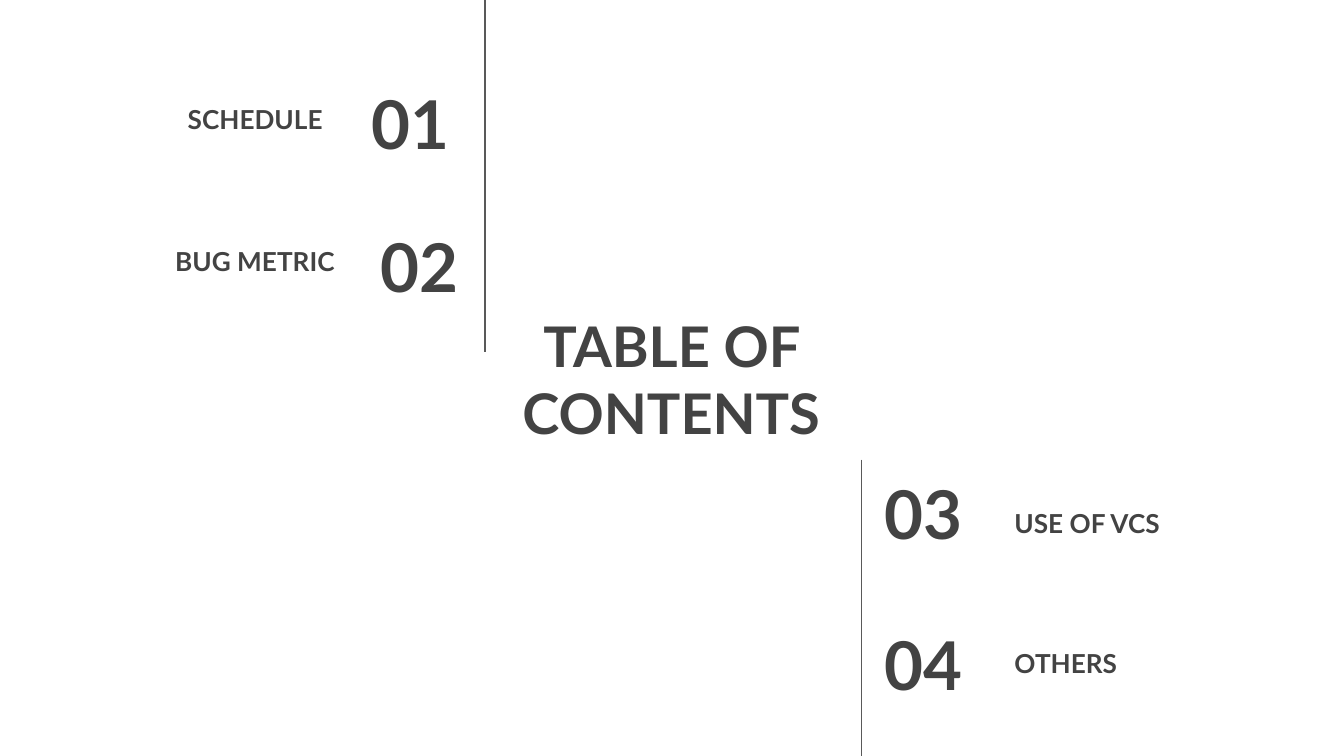
from lxml import etree
from pptx import Presentation
from pptx.dml.color import RGBColor
from pptx.enum import shapes, text
from pptx.oxml import ns
from pptx.util import Inches, Pt

INK = RGBColor(0x43, 0x43, 0x43)
RULE = RGBColor(0x59, 0x59, 0x59)
WHITE = RGBColor(0xFF, 0xFF, 0xFF)
LEFT, CENTER, RIGHT = text.PP_ALIGN.LEFT, text.PP_ALIGN.CENTER, text.PP_ALIGN.RIGHT
MIDDLE, BOTTOM = text.MSO_ANCHOR.MIDDLE, text.MSO_ANCHOR.BOTTOM

presentation = Presentation()
presentation.slide_width = Inches(10)
presentation.slide_height = Inches(10 * 9 / 16)
slide = presentation.slides.add_slide(presentation.slide_layouts[6])
slide.background.fill.solid()
slide.background.fill.fore_color.rgb = WHITE


def add_text(words, left, top, width, height, size, alignment, anchor):
    box = slide.shapes.add_textbox(Inches(left), Inches(top), Inches(width), Inches(height))
    frame = box.text_frame
    frame.word_wrap = True
    frame.vertical_anchor = anchor
    frame.margin_left = frame.margin_right = Inches(0.1)
    frame.margin_top = frame.margin_bottom = Inches(0.1)
    paragraph = frame.paragraphs[0]
    paragraph.alignment = alignment
    run = paragraph.add_run()
    run.text = words
    run.font.name = "Lato"
    run.font.size = Pt(size)
    run.font.bold = True
    run.font.color.rgb = INK


add_text("TABLE OF CONTENTS", 3.7, 2.3, 2.59, 1.03, 30, CENTER, MIDDLE)

entries = [
    ("01", 2.23, 0.6, 1.21, "SCHEDULE", 0.34, 0.47, RIGHT),
    ("02", 2.3, 1.66, 1.21, "BUG METRIC", 0.43, 1.53, RIGHT),
    ("03", 6.48, 3.5, 1.17, "USE OF VCS", 7.45, 3.48, LEFT),
    ("04", 6.48, 4.62, 1.17, "OTHERS", 7.45, 4.52, LEFT),
]
for number, number_left, number_top, number_width, topic, topic_left, topic_top, alignment in entries:
    add_text(number, number_left, number_top, number_width, 0.63, 36, alignment, MIDDLE)
    add_text(topic, topic_left, topic_top, 2.16, 0.63, 14, alignment, BOTTOM)

for x, top, bottom in [(3.61, 0, 2.62), (6.41, 3.42, 5.64)]:
    divider = slide.shapes.add_connector(
        shapes.MSO_CONNECTOR.STRAIGHT, Inches(x), Inches(top), Inches(x), Inches(bottom)
    )
    divider.line.color.rgb = RULE
    divider.line.width = Pt(0.75)
    etree.SubElement(divider._element.spPr, ns.qn("a:effectLst"))

presentation.save("out.pptx")
